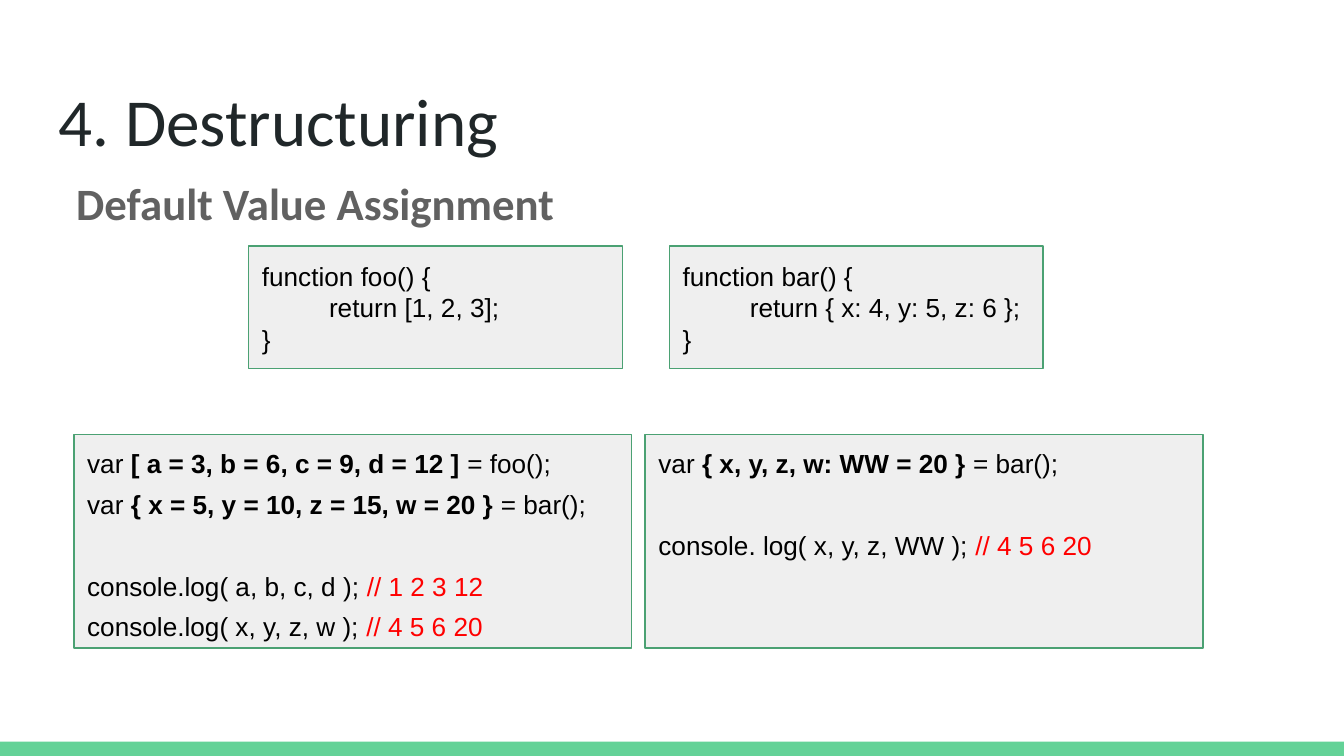
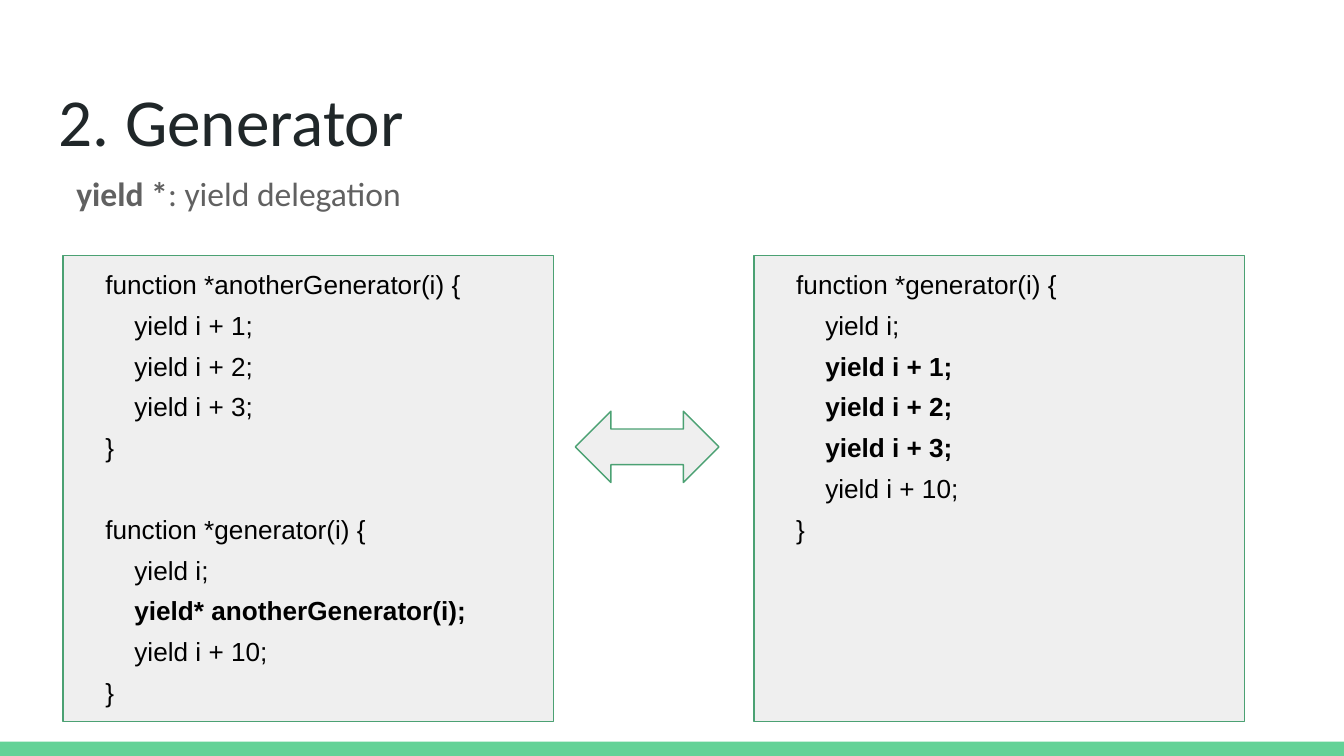
from pptx import Presentation
from pptx.dml.color import RGBColor
from pptx.enum.shapes import MSO_SHAPE as Shape
from pptx.enum.text import MSO_ANCHOR as Anchor, PP_ALIGN as Align
from pptx.util import Pt

COLORS = {
    "band": "63D297", "title": "202729", "subtitle": "616161",
    "panel": "EFEFEF", "border": "4BA173", "code": "000000", "result": "FF0000",
}
WIDTH, HEIGHT = 720, 405
BAND_HEIGHT = 7.7
INSET = 7.2
CODE_SIZE = 14
CODE_GAP = 5      # space after a line of code
BLANK_LINE = 22   # extra space where the code leaves a line free
STEP = 15.56      # four spaces of 14 pt Arial
TAB = 36

# A line of code is (indent, spans); a span is (text, style).
# BLANK stands for a free line between two lines of code.
BLANK = None


def plain(text, indent=0):
    return indent, [(text, "plain")]


def bold(text, indent=0):
    return indent, [(text, "bold")]


def assign(pattern, call):
    return 0, [("var ", "plain"), (pattern, "bold"), (f" = {call};", "plain")]


def log(call, result):
    return 0, [(f"{call}; ", "plain"), (result, "result")]


def function(head, body, indent=0, step=STEP):
    """Lines of a function: head, body one step further in, closing brace."""
    lines = [(indent + step, spans) for _, spans in body]
    return [plain(f"function {head} {{", indent), *lines, plain("}", indent)]


ANOTHER = [plain(f"yield i + {n};") for n in (1, 2, 3)]
DELEGATING = [plain("yield i;"), bold("yield* anotherGenerator(i);"), plain("yield i + 10;")]
EXPANDED = [plain("yield i;"), *[bold(f"yield i + {n};") for n in (1, 2, 3)],
            plain("yield i + 10;")]

# Each row of equal panels: left, top, width, height, distance between lefts,
# space after a line, anchor, and the code of every panel.
SLIDES = [
    {
        "title": "4. Destructuring", "title_height": 45.4,
        "subtitle": [("Default Value Assignment", "bold")],
        "subtitle_size": 24, "subtitle_box": (33.8, 87.1, 652.3, 45.4),
        "rows": [
            {"box": (133.2, 131.8, 200.2, 65.5), "pitch": 225.4,
             "gap": 0, "anchor": Anchor.MIDDLE,
             "panels": [
                 function("foo()", [plain("return [1, 2, 3];")], step=TAB),
                 function("bar()", [plain("return { x: 4, y: 5, z: 6 };")], step=TAB),
             ]},
            {"box": (39.6, 232.6, 298.8, 114.5), "pitch": 306,
             "gap": CODE_GAP, "anchor": Anchor.TOP,
             "panels": [
                 [assign("[ a = 3, b = 6, c = 9, d = 12 ]", "foo()"),
                  assign("{ x = 5, y = 10, z = 15, w = 20 }", "bar()"),
                  BLANK,
                  log("console.log( a, b, c, d )", "// 1 2 3 12"),
                  log("console.log( x, y, z, w )", "// 4 5 6 20")],
                 [assign("{ x, y, z, w: WW = 20 }", "bar()"),
                  BLANK,
                  log("console. log( x, y, z, WW )", "// 4 5 6 20")],
             ]},
        ],
    },
    {
        "title": "2. Generator", "title_height": 54.7,
        "subtitle": [("yield *", "bold"), (": yield delegation", "plain")],
        "subtitle_size": 18, "subtitle_box": (33.8, 85.7, 671, 32.4),
        "rows": [
            {"box": (33.8, 136.8, 262.8, 249.8), "pitch": 370.1,
             "gap": CODE_GAP, "anchor": Anchor.TOP,
             "panels": [
                 [*function("*anotherGenerator(i)", ANOTHER, STEP),
                  BLANK,
                  *function("*generator(i)", DELEGATING, STEP)],
                 function("*generator(i)", EXPANDED, STEP),
             ]},
        ],
        "arrow": (308.2, 220.3, 77, 38.2),
    },
]


def color(name):
    return RGBColor.from_string(COLORS[name])


def add_figure(page, kind, box, fill, border=None):
    figure = page.shapes.add_shape(kind, *map(Pt, box))
    figure.shadow.inherit = False
    figure.fill.solid()
    figure.fill.fore_color.rgb = color(fill)
    if border:
        figure.line.color.rgb = color(border)
        figure.line.width = Pt(0.75)
    else:
        figure.line.fill.background()
    return figure


def prepare_frame(shape, anchor=Anchor.TOP):
    frame = shape.text_frame
    frame.word_wrap = True
    frame.vertical_anchor = anchor
    frame.margin_left = frame.margin_right = Pt(INSET)
    frame.margin_top = frame.margin_bottom = Pt(INSET)
    return frame


def add_spans(para, spans, font, size, base):
    para.alignment = Align.LEFT
    for text, style in spans:
        span = para.add_run()
        span.text = text
        span.font.name = font
        span.font.size = Pt(size)
        span.font.bold = style == "bold"
        span.font.color.rgb = color("result" if style == "result" else base)


def add_heading(page, box, spans, size, base):
    frame = prepare_frame(page.shapes.add_textbox(*map(Pt, box)))
    add_spans(frame.paragraphs[0], spans, "Calibri", size, base)


def add_code(page, box, lines, gap, anchor):
    panel = add_figure(page, Shape.RECTANGLE, box, "panel", "border")
    frame = prepare_frame(panel, anchor)
    para = None
    for line in lines:
        if line is BLANK:
            para.space_after = Pt(gap + BLANK_LINE)
            continue
        para = frame.add_paragraph() if para else frame.paragraphs[0]
        indent, spans = line
        para.space_after = Pt(gap)
        if indent:
            para._p.get_or_add_pPr().set("marL", str(Pt(indent)))
        add_spans(para, spans, "Arial", CODE_SIZE, "code")


def build_page(deck, content):
    page = deck.slides.add_slide(deck.slide_layouts[6])
    add_figure(page, Shape.RECTANGLE, (0, HEIGHT - BAND_HEIGHT, WIDTH, BAND_HEIGHT), "band")
    add_heading(page, (24.5, 35.3, 671, content["title_height"]),
                [(content["title"], "plain")], 36, "title")
    add_heading(page, content["subtitle_box"], content["subtitle"],
                content["subtitle_size"], "subtitle")
    for row in content["rows"]:
        left, *rest = row["box"]
        for column, lines in enumerate(row["panels"]):
            box = (left + column * row["pitch"], *rest)
            add_code(page, box, lines, row["gap"], row["anchor"])
    if "arrow" in content:
        add_figure(page, Shape.LEFT_RIGHT_ARROW, content["arrow"], "panel", "border")


def main():
    deck = Presentation()
    deck.slide_width, deck.slide_height = Pt(WIDTH), Pt(HEIGHT)
    for content in SLIDES:
        build_page(deck, content)
    deck.save("out.pptx")


if __name__ == "__main__":
    main()
